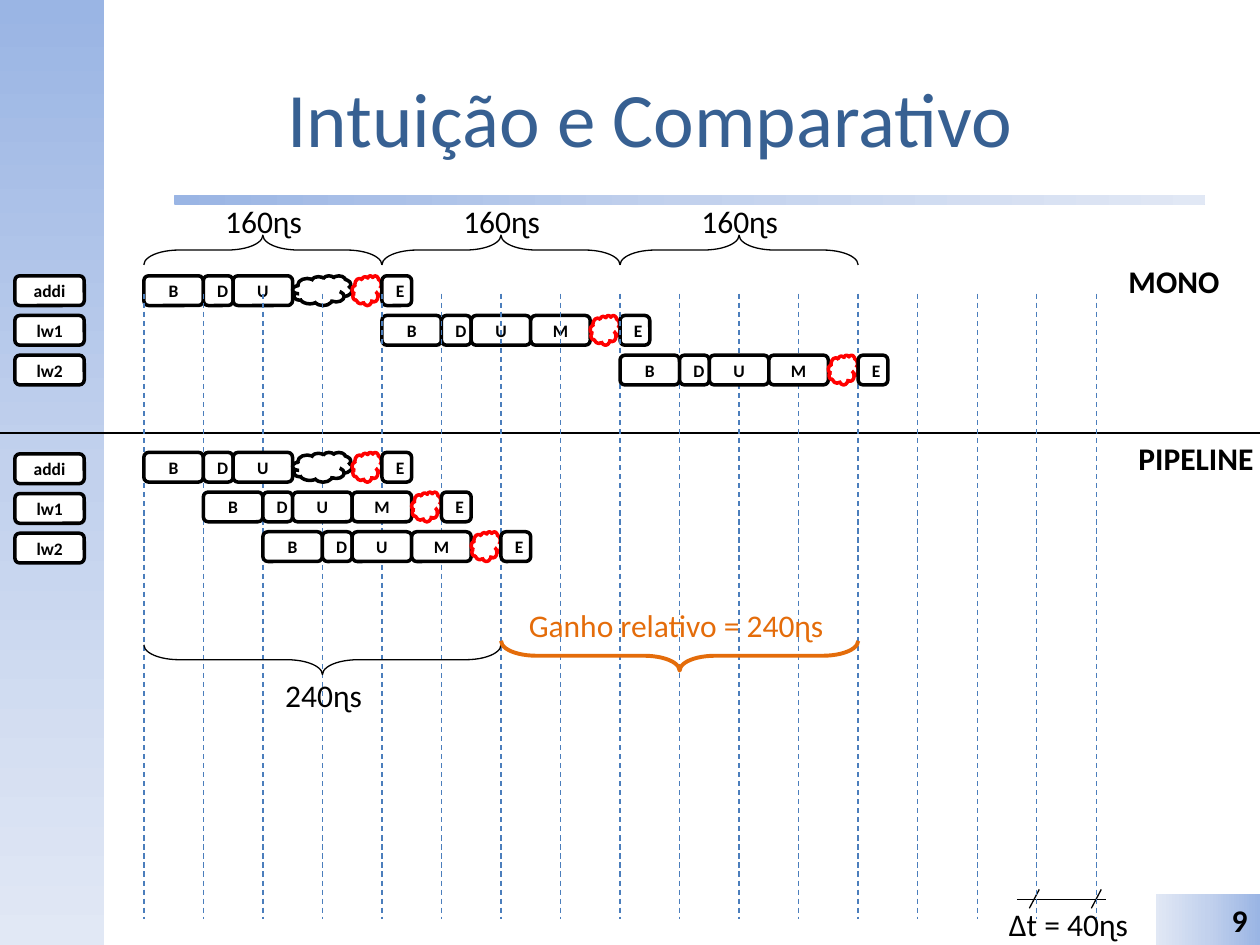
from copy import deepcopy
from lxml.etree import SubElement
from pptx import Presentation
from pptx.dml.color import RGBColor as Rgb
from pptx.enum.dml import MSO_LINE as Dash
from pptx.enum.shapes import MSO_CONNECTOR as Link, MSO_SHAPE as Geo
from pptx.enum.text import MSO_ANCHOR as Anchor, MSO_AUTO_SIZE as Fit, PP_ALIGN as Align
from pptx.oxml.ns import qn
from pptx.util import Cm, Pt

HUES = {
    "ink": "000000", "paper": "FFFFFF", "title": "376092", "grid": "4B7EBC",
    "gain": "E46C0A", "idle": "FF0000",
    "dark": "9AB5E4", "mid": "C2D1ED", "light": "E1E8F5",
}
LEFT, HALF, STEP = 2.9, 0.6, 0.8
CYCLE = 2 * HALF
MONO, PIPE = 5.56, 9.12
STAGES = [("B", 0, 2), ("D", 2, 1), ("U", 3, 2), ("M", 5, 2), ("", 7, 1), ("E", 8, 1)]
NAMES = ["addi", "lw1", "lw2"]


def hue(name):
    return Rgb.from_string(HUES[name])


class Page:
    font = "Calibri"

    def __init__(self, slide):
        self.slide = slide
        self.shapes = slide.shapes

    def text(self, frame, words, size, tint="ink", bold=False, align=Align.CENTER):
        frame.text = words
        frame.vertical_anchor = Anchor.MIDDLE
        para = frame.paragraphs[0]
        para.alignment = align
        para.font.name, para.font.size = self.font, Pt(size)
        para.font.bold = bold
        para.font.color.rgb = hue(tint)

    def title(self, words, x, y, w, h):
        head = self.shapes.title
        head.left, head.top, head.width, head.height = Cm(x), Cm(y), Cm(w), Cm(h)
        self.text(head.text_frame, words, 44, "title")

    def shape(self, kind, x, y, w, h):
        item = self.shapes.add_shape(kind, Cm(x), Cm(y), Cm(w), Cm(h))
        item.shadow.inherit = False
        return item

    def band(self, x, y, w, h, angle, kind=Geo.RECTANGLE):
        item = self.shape(kind, x, y, w, h)
        item.line.fill.background()
        item.fill.gradient()
        item.fill.gradient_angle = angle
        stops = next(item.element.iter(qn("a:gsLst")))
        stops.insert(1, deepcopy(stops[0]))
        for stop, tint, place in zip(item.fill.gradient_stops, ("dark", "mid", "light"), (0, 0.5, 1)):
            stop.color.rgb = hue(tint)
            stop.position = place
        return item

    def box(self, x, y, w, words="", edge="ink", kind=Geo.ROUNDED_RECTANGLE):
        item = self.shape(kind, x, y, w, HALF)
        item.fill.solid()
        item.fill.fore_color.rgb = hue("paper")
        item.line.color.rgb = hue(edge)
        item.line.width = Pt(2)
        if words:
            self.text(item.text_frame, words, 10, bold=True)

    def row(self, cycle, y, loads):
        for name, start, span in STAGES:
            x, w = LEFT + cycle * CYCLE + start * HALF, span * HALF
            if not name:
                self.box(x, y, w, edge="idle", kind=Geo.CLOUD)
            elif name == "M" and not loads:
                self.box(x, y, w, kind=Geo.CLOUD)
            else:
                self.box(x, y, w, name)

    def brace(self, cycle, span, y, turn, tint="ink", weight=0.75):
        x, w = LEFT + cycle * CYCLE, span * CYCLE
        item = self.shape(Geo.RIGHT_BRACE, x + (w - HALF) / 2, y + (HALF - w) / 2, HALF, w)
        item.rotation = turn
        item.adjustments[0] = 1.19
        item.adjustments[1] = 0.5
        item.fill.background()
        item.line.color.rgb = hue(tint)
        item.line.width = Pt(weight)

    def line(self, x1, y1, x2, y2, tint="ink", weight=0.75, dash=None):
        item = self.shapes.add_connector(Link.STRAIGHT, Cm(x1), Cm(y1), Cm(x2), Cm(y2))
        item.line.color.rgb = hue(tint)
        item.line.width = Pt(weight)
        if dash:
            item.line.dash_style = dash
        SubElement(item.element.spPr, qn("a:effectLst"))

    def label(self, words, x, y, w, tint="ink", bold=False):
        frame = self.shapes.add_textbox(Cm(x), Cm(y), Cm(w), Cm(1.02)).text_frame
        frame.word_wrap = False
        frame.auto_size = Fit.SHAPE_TO_FIT_TEXT
        self.text(frame, words, 18, tint, bold, Align.LEFT)


def main():
    deck = Presentation()
    deck.slide_width, deck.slide_height = Cm(25.4), Cm(19.05)
    page = Page(deck.slides.add_slide(deck.slide_layouts[5]))

    page.band(0, 0, 2.1, 19.05, 270)
    page.band(3.5, 3.93, 20.8, 0.2, 0, Geo.ROUNDED_RECTANGLE)
    page.title("Intuição e Comparativo", 2.1, 0.76, 22.02, 3.18)
    foot = page.band(23.3, 18.03, 2.1, 1.02, 180)
    page.text(foot.text_frame, "9", 18, bold=True, align=Align.RIGHT)

    page.label("∆t = 40ɳs", 20.09, 18.11, 2.95)
    page.line(20.5, 18.13, 22.3, 18.13)
    for x in (20.75, 22):
        page.line(x, 18.31, x + 0.2, 17.93)
    page.line(0, 8.73, 25.4, 8.73, weight=1.5)

    for i in range(2):
        page.row(4 * i, MONO + i * STEP, i > 0)
    for i in range(17):
        x = LEFT + i * CYCLE
        page.line(x, 5.92, x, 18.52, "grid", dash=Dash.DASH)
    page.row(8, MONO + 2 * STEP, True)
    for i in range(3):
        page.row(i, PIPE + i * STEP, i > 0)

    for top in (MONO, PIPE + 0.03):
        for i, name in enumerate(NAMES):
            page.box(0.3, top + i * STEP, 1.4, name)

    for i in range(3):
        page.brace(4 * i, 4, 4.74, 270)
        page.label("160ɳs", 4.29 + 4 * i * CYCLE, 3.94, 2.08)
    page.brace(0, 6, 13, 90)
    page.label("240ɳs", 5.5, 13.5, 2.08)
    page.brace(6, 6, 12.92, 90, "gain", 2.25)
    page.label("Ganho relativo = 240ɳs", 10.41, 12.09, 6.68, "gain")
    page.label("MONO", 22.5, 5.16, 2.36, bold=True)
    page.label("PIPELINE", 22.7, 8.73, 2.84, bold=True)

    deck.save("out.pptx")


if __name__ == "__main__":
    main()
